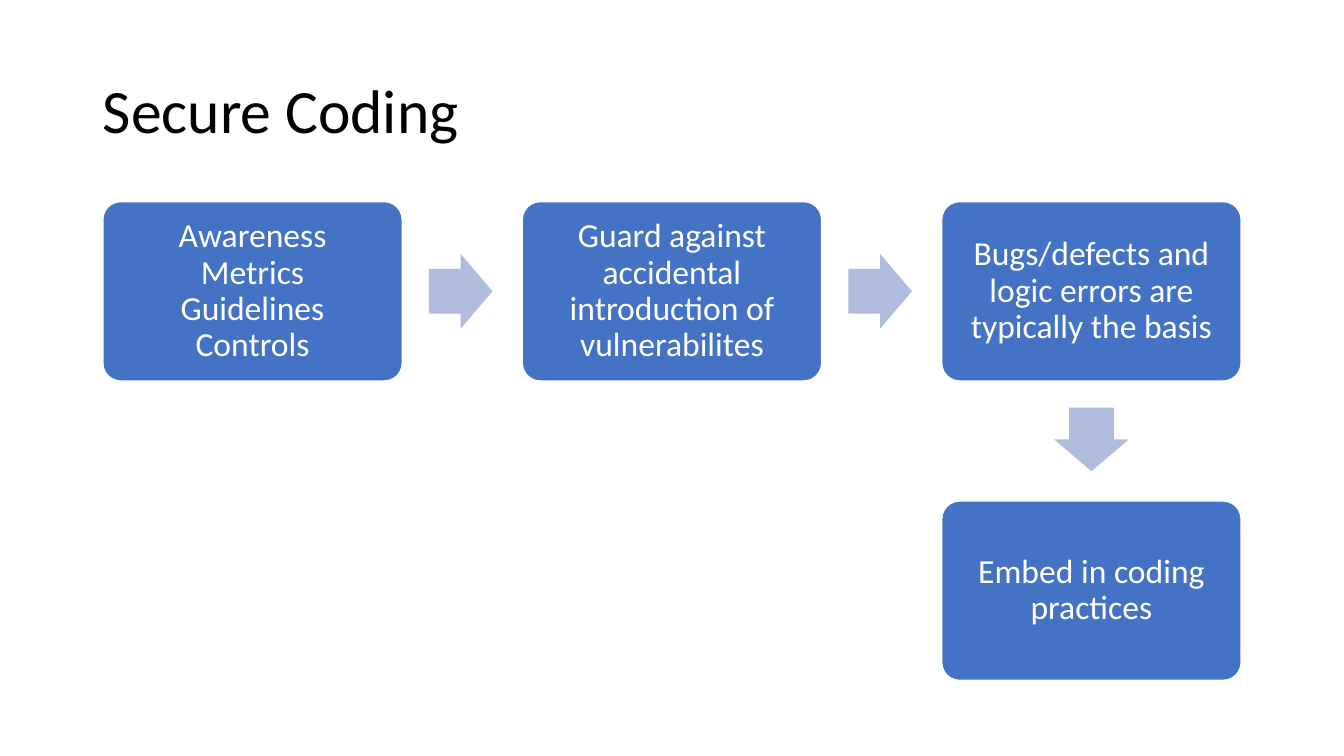
"""Build the Secure Coding process slide."""
from dataclasses import dataclass

from pptx import Presentation
from pptx import util as u
from pptx.dml.color import RGBColor
from pptx.enum import shapes, text

PX = 9144
BOX_W, BOX_H = 297, 178
ARROW_W, ARROW_H = 63, 74
ARROW_GAP = 58
LEFT, TOP = 102, 200
PITCH_X, PITCH_Y = 416, 297

STEPS = [
    (0, 0, "right", ["Awareness", "Metrics", "Guidelines", "Controls"]),
    (1, 0, "right", ["Guard against accidental introduction of vulnerabilites"]),
    (2, 0, "down", ["Bugs/defects and logic errors are typically the basis"]),
    (2, 1, None, ["Embed in coding practices"]),
]


@dataclass(frozen=True)
class Theme:
    """Colours, font and type sizes of the slide."""
    font: str = "Calibri"
    title_size: int = 44
    step_size: int = 24
    ink: str = "000000"
    white: str = "FFFFFF"
    box: str = "4472C4"
    arrow: str = "B0BCDE"


THEME = Theme()


def px(*lengths):
    """Turn px lengths into EMU."""
    return [u.Emu(round(n * PX)) for n in lengths]


def write(tf, lines, size, color, align):
    """Write lines as one paragraph, vertically centred in the frame."""
    tf.word_wrap = True
    tf.auto_size = text.MSO_AUTO_SIZE.NONE
    tf.vertical_anchor = text.MSO_ANCHOR.MIDDLE
    p = tf.paragraphs[0]
    p.alignment = align
    p.line_spacing = 0.9
    for i, line in enumerate(lines):
        if i:
            p.add_line_break()
        r = p.add_run()
        r.text = line
        r.font.name = THEME.font
        r.font.size = u.Pt(size)
        r.font.color.rgb = RGBColor.from_string(color)


def add_filled(s, kind, box, fill, adjustments):
    """Add a preset shape with a flat fill and no shadow."""
    sp = s.shapes.add_shape(kind, *px(*box))
    sp.shadow.inherit = False
    sp.fill.solid()
    sp.fill.fore_color.rgb = RGBColor.from_string(fill)
    sp.line.fill.background()
    for i, value in enumerate(adjustments):
        sp.adjustments[i] = value
    return sp


def add_title(s, title):
    """Place and fill the title placeholder."""
    sp = s.shapes.title
    sp.left, sp.top, sp.width, sp.height = px(92, 40, 1150, 145)
    write(sp.text_frame, [title], THEME.title_size, THEME.ink, text.PP_ALIGN.LEFT)


def add_step(s, x, y, lines):
    """Add a rounded step box with its text."""
    sp = add_filled(s, shapes.MSO_SHAPE.ROUNDED_RECTANGLE,
                    (x, y, BOX_W, BOX_H), THEME.box, [0.1])
    sp.line.color.rgb = RGBColor.from_string(THEME.white)
    sp.line.width = u.Pt(1)
    tf = sp.text_frame
    tf.margin_left, tf.margin_top, tf.margin_right, tf.margin_bottom = px(10, 10, 10, 10)
    write(tf, lines, THEME.step_size, THEME.white, text.PP_ALIGN.CENTER)


def add_arrow(s, x, y, direction):
    """Add the arrow that leaves the step box at x, y."""
    cx, cy = x + BOX_W / 2, y + BOX_H / 2
    if direction == "right":
        cx = x + BOX_W + ARROW_GAP
    else:
        cy = y + BOX_H + ARROW_GAP
    sp = add_filled(s, shapes.MSO_SHAPE.RIGHT_ARROW,
                    (cx - ARROW_W / 2, cy - ARROW_H / 2, ARROW_W, ARROW_H),
                    THEME.arrow, [0.6, 0.5])
    sp.rotation = 90 if direction == "down" else 0


def main():
    """Build and save the slide."""
    prs = Presentation()
    prs.slide_width, prs.slide_height = px(1333, 750)
    s = prs.slides.add_slide(prs.slide_layouts.get_by_name("Title Only"))
    add_title(s, "Secure Coding")
    for col, row, direction, lines in STEPS:
        x, y = LEFT + col * PITCH_X, TOP + row * PITCH_Y
        add_step(s, x, y, lines)
        if direction:
            add_arrow(s, x, y, direction)
    prs.save("out.pptx")


if __name__ == "__main__":
    main()
